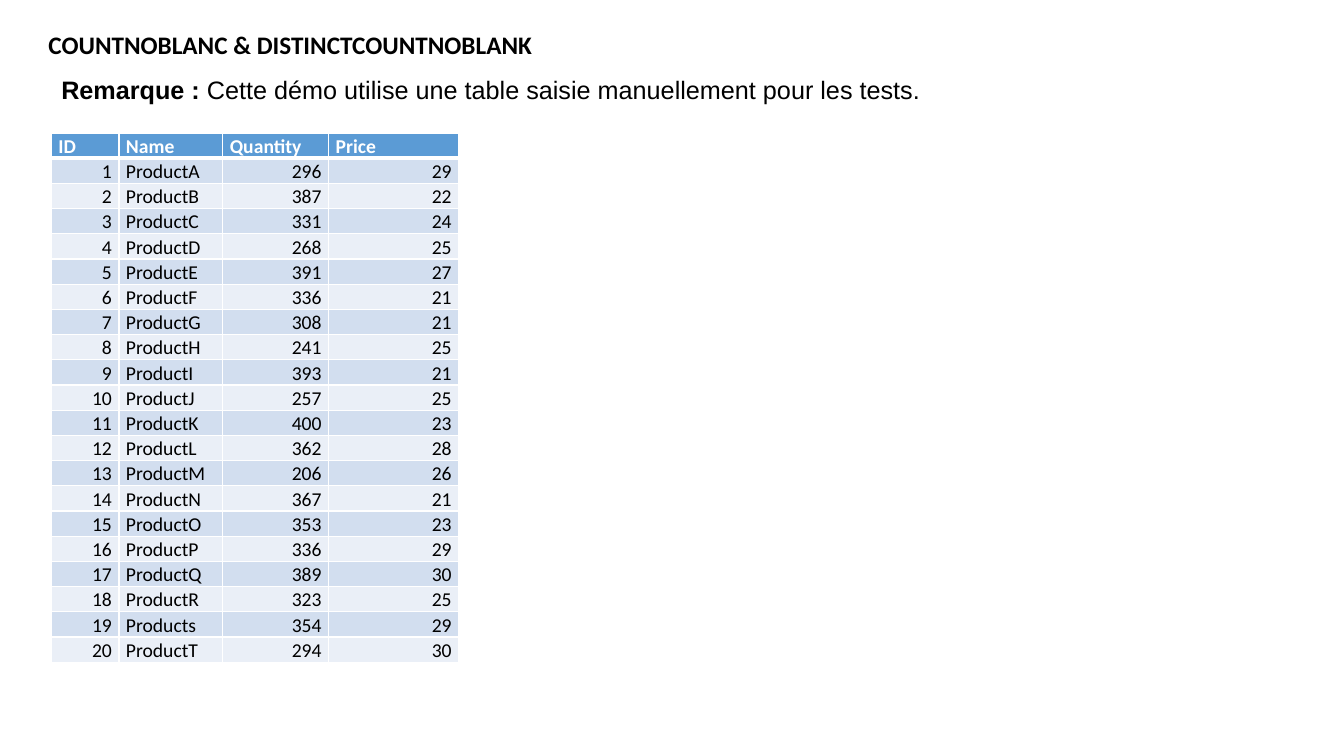
from lxml.etree import SubElement
from pptx import Presentation
from pptx.dml.color import RGBColor
from pptx.enum.text import MSO_ANCHOR, MSO_AUTO_SIZE, PP_ALIGN
from pptx.oxml.ns import qn
from pptx.util import Inches, Pt

BLACK = RGBColor(0x00, 0x00, 0x00)
WHITE = RGBColor(0xFF, 0xFF, 0xFF)
HEADER_BLUE = RGBColor(0x5B, 0x9B, 0xD5)
BANDS = (RGBColor(0xEA, 0xEF, 0xF7), RGBColor(0xD2, 0xDE, 0xEF))

HEADERS = ("ID", "Name", "Quantity", "Price")
NAME_ENDINGS = "ABCDEFGHIJKLMNOPQRsT"
QUANTITIES = (296, 387, 331, 268, 391, 336, 308, 241, 393, 257,
              400, 362, 206, 367, 353, 336, 389, 323, 354, 294)
PRICES = (29, 22, 24, 25, 27, 21, 21, 25, 21, 25,
          23, 28, 26, 21, 23, 29, 30, 25, 29, 30)
COLUMN_WIDTHS = (0.67, 1.03, 1.05, 1.29)
ROW_HEIGHT = 0.25
LEFT = 0.51


def format_run(r, font, size, color=BLACK, bold=False):
    r.font.name = font
    r.font.size = Pt(size)
    r.font.color.rgb = color
    r.font.bold = bold


def set_line(sp, left, top, width, parts, font, anchor):
    """Place a single line of text made of (text, bold) parts."""
    sp.left, sp.top = Inches(left), Inches(top)
    sp.width, sp.height = Inches(width), Inches(0.4)
    tf = sp.text_frame
    tf.word_wrap = False
    tf.auto_size = MSO_AUTO_SIZE.SHAPE_TO_FIT_TEXT
    tf.vertical_anchor = anchor
    p = tf.paragraphs[0]
    p.alignment = PP_ALIGN.LEFT
    for text, bold in parts:
        r = p.add_run()
        r.text = text
        format_run(r, font, 18, bold=bold)


def set_borders(cell, top, bottom):
    tc_pr = cell._tc.get_or_add_tcPr()
    widths = {"a:lnL": 1, "a:lnR": 1, "a:lnT": top, "a:lnB": bottom}
    for tag, width in widths.items():
        ln = SubElement(tc_pr, qn(tag), w=str(Pt(width)))
        fill = SubElement(ln, qn("a:solidFill"))
        SubElement(fill, qn("a:srgbClr"), val=str(WHITE))


def fill_cell(cell, value, row):
    header = row == 0
    cell.margin_left = cell.margin_right = Inches(0.07)
    cell.margin_top = cell.margin_bottom = 0
    cell.vertical_anchor = MSO_ANCHOR.BOTTOM
    cell.text = str(value)
    p = cell.text_frame.paragraphs[0]
    p.line_spacing = 1.07
    p.alignment = PP_ALIGN.RIGHT if isinstance(value, int) else PP_ALIGN.LEFT
    format_run(p.runs[0], "Calibri", 14, WHITE if header else BLACK, header)
    # Borders come before the fill in the cell properties
    set_borders(cell, 3 if row == 1 else 1, 3 if header else 1)
    cell.fill.solid()
    cell.fill.fore_color.rgb = HEADER_BLUE if header else BANDS[row % 2]


def add_product_table(s, left, top):
    names = [f"Product{ending}" for ending in NAME_ENDINGS]
    ids = range(1, len(names) + 1)
    rows = [HEADERS, *zip(ids, names, QUANTITIES, PRICES)]
    table = s.shapes.add_table(
        len(rows), len(HEADERS), Inches(left), Inches(top),
        Inches(sum(COLUMN_WIDTHS)), Inches(ROW_HEIGHT * len(rows))).table
    for column, width in zip(table.columns, COLUMN_WIDTHS):
        column.width = Inches(width)
    for i, values in enumerate(rows):
        table.rows[i].height = Inches(ROW_HEIGHT)
        for j, value in enumerate(values):
            fill_cell(table.cell(i, j), value, i)


def main():
    prs = Presentation()
    prs.slide_width, prs.slide_height = Inches(13.33), Inches(7.5)
    s = prs.slides.add_slide(prs.slide_layouts.get_by_name("Title Only"))

    # Title
    set_line(s.shapes.title, 0.38, 0.24, 5.04,
             [("COUNTNOBLANC & DISTINCTCOUNTNOBLANK", True)],
             "Calibri", MSO_ANCHOR.TOP)

    # Product table
    add_product_table(s, LEFT, 1.32)

    # Remark
    remark = s.shapes.add_textbox(0, 0, 0, 0)
    set_line(remark, LEFT, 0.69, 8.8,
             [("Remarque : ", True),
              ("Cette démo utilise une table saisie manuellement pour les tests.", False)],
             "Arial", MSO_ANCHOR.MIDDLE)

    prs.save("out.pptx")


if __name__ == "__main__":
    main()
